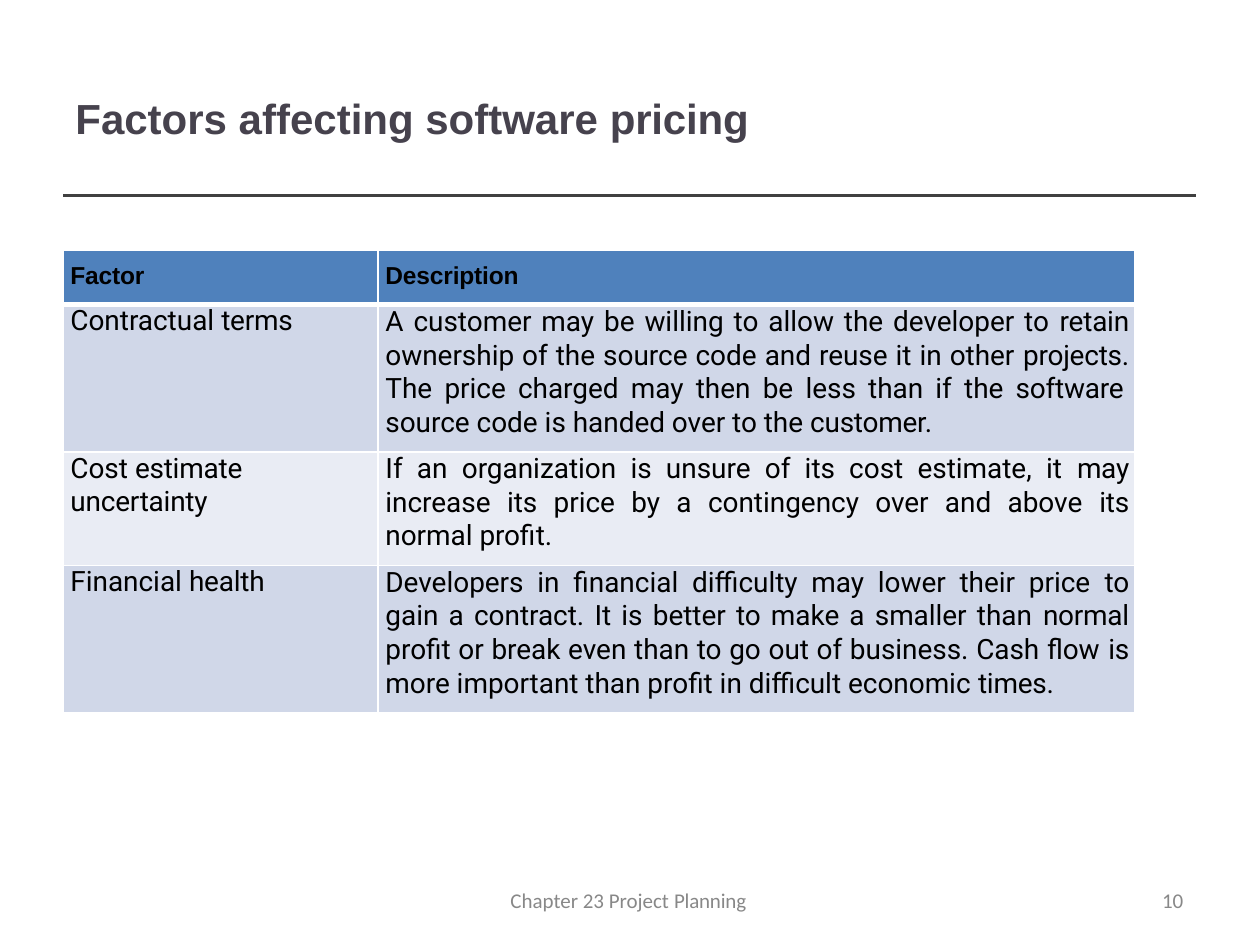
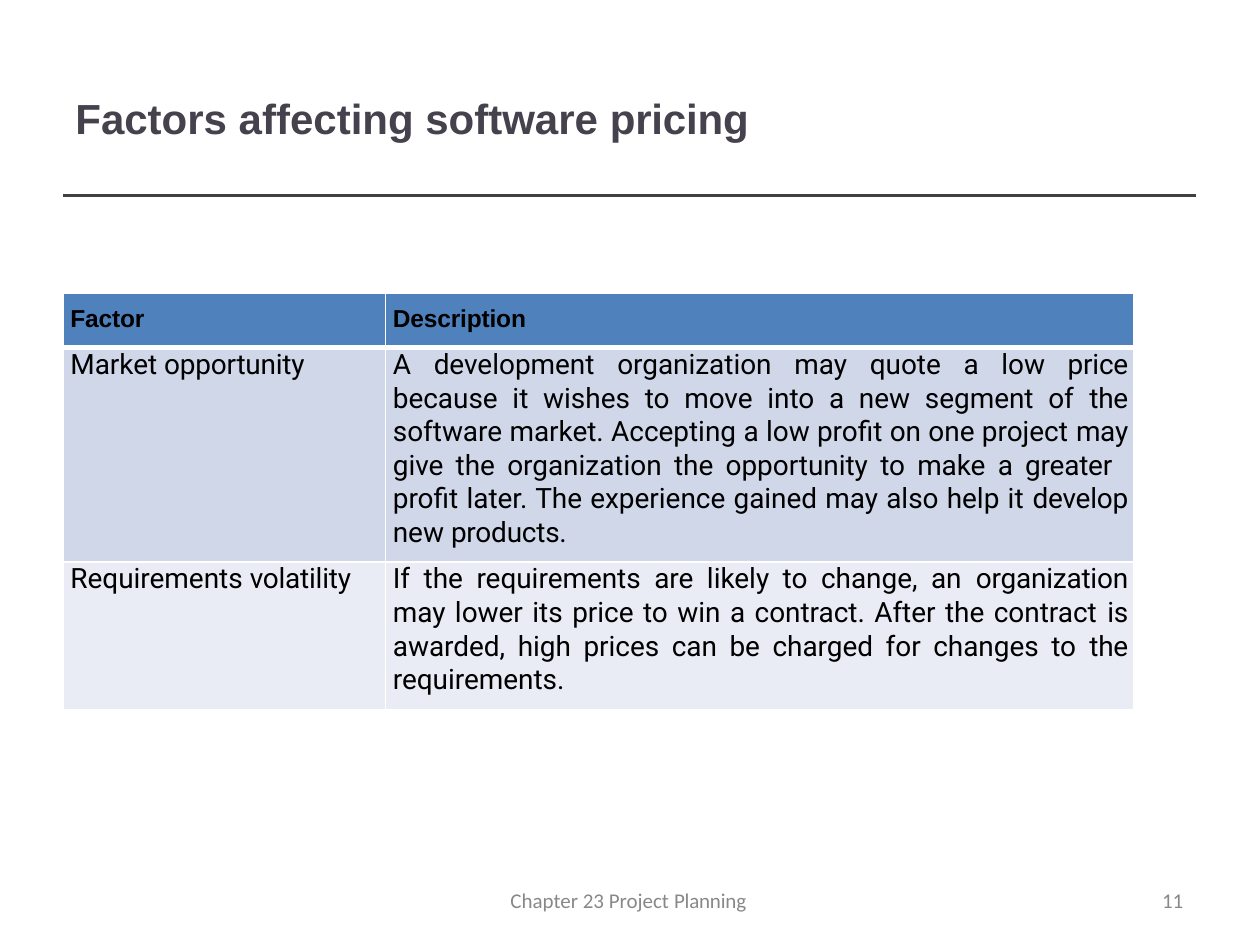
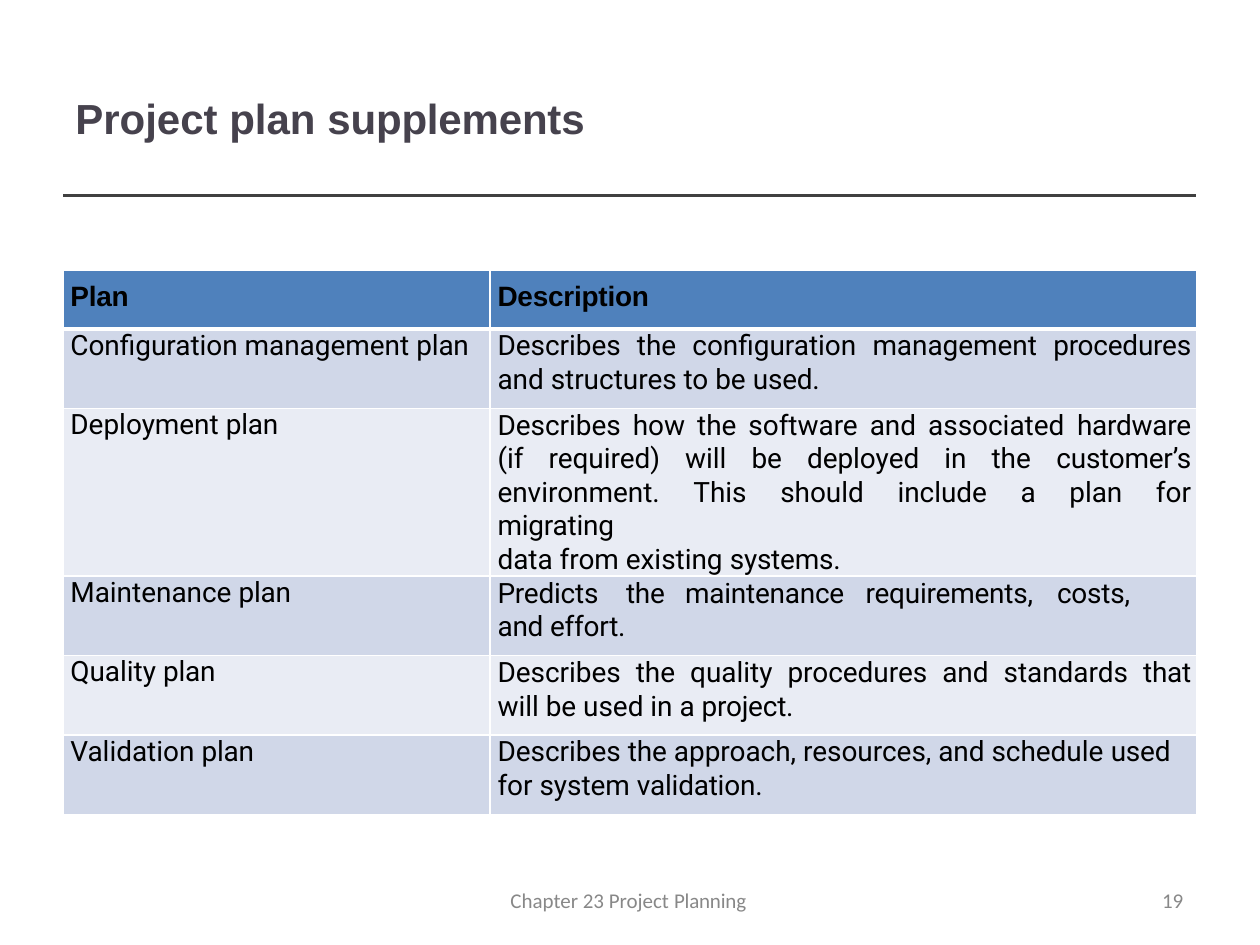
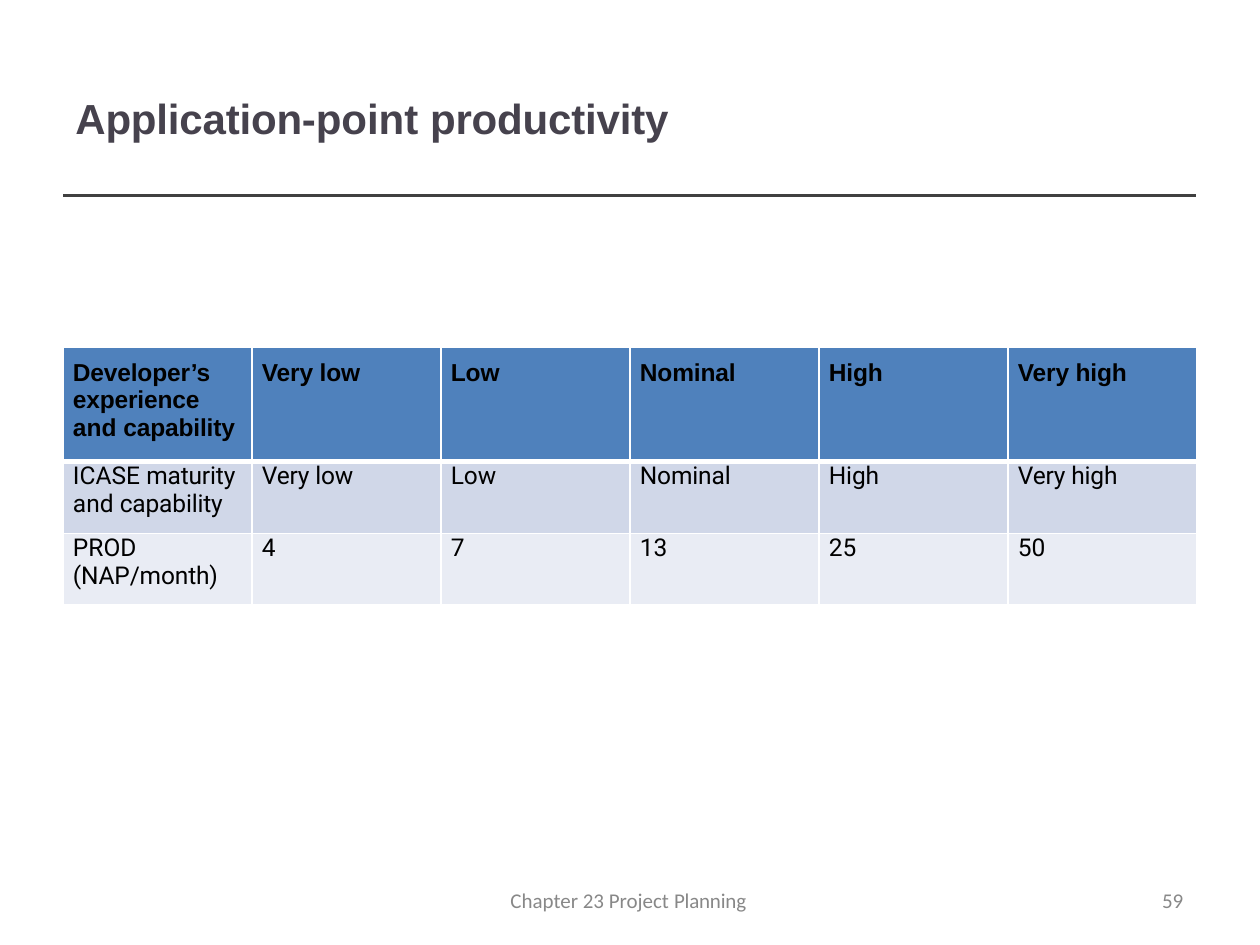
from lxml.etree import SubElement
from pptx import Presentation
from pptx.dml.color import RGBColor
from pptx.enum.shapes import MSO_CONNECTOR
from pptx.enum.text import MSO_ANCHOR, MSO_AUTO_SIZE, PP_ALIGN
from pptx.oxml import parse_xml
from pptx.oxml.ns import nsdecls, qn
from pptx.util import Cm, Pt

TITLE, RULE, FOOTER, TEXT = "46424D", "404040", "888888", "000000"
HEADER, BANDS, BORDER = "4F81BC", ("E9ECF4", "D0D7E8"), "FFFFFF"
TIGHT, WIDE = -10, 300
LEFT = 1.27

FACTOR_HEAD = ["|Factor", "|Description"]
CONTRACT_ROWS = [
    FACTOR_HEAD,
    ["Contractual |terms",
     "A customer may be willing to allow the developer to |retain |ownership of the source "
     "code and reuse it in other |projects. |The~price~charged~may~then~be~less~than~if~the~|software\n"
     "source code is handed over to the| customer."],
    ["Cost |estimate uncertainty",
     "If an organization is unsure of its cost estimate, it |may |increase its price by a "
     "contingency over and above |its |normal |profit."],
    ["Financial |health",
     "Developers in financial difficulty may lower their price |to |gain a contract. It is better "
     "to make a smaller than |normal |profit or break even than to go out of business. Cash flow "
     "|is |more important than profit in difficult economic |times."],
]
MARKET_ROWS = [
    FACTOR_HEAD,
    ["Market |opportunity",
     "A~development~organization~may~quote~a~low~|price |because it wishes to move into a new "
     "segment of |the |software market. Accepting a low profit on one project |may "
     "|give~the~organization~the~opportunity~to~make~a~|greater\n"
     "profit later. The experience gained may also help it |develop |new |products."],
    ["Requirements |volatility",
     "If the requirements are likely to change, an |organization |may lower its price to win a "
     "contract. After the contract |is |awarded, high prices can be charged for changes to |the "
     "|requirements."],
]
PLAN_ROWS = [
    ["|Plan", "|Description"],
    ["Configuration management |plan",
     "Describes~the~configuration~management~|procedures |and structures to be |used."],
    ["Deployment |plan",
     "Describes how the software and associated |hardware |(if required) will be deployed in the "
     "|customer’s |environment.~This~should~include~a~plan~for~|migrating\n"
     "data from existing |systems."],
    ["Maintenance |plan", "|Predicts\tthe\tmaintenance\trequirements,\tcosts,\tand effort."],
    ["Quality |plan",
     "Describes~the~quality~procedures~and~standards~|that |will be used in a| project."],
    ["Validation |plan",
     "Describes the approach, resources, and schedule |used\nfor system |validation."],
]
LEVELS = ["|Very low", "|Low", "|Nominal", "|High", "|Very high"]
PRODUCTIVITY_ROWS = [
    ["|Developer’s experience |and |capability"] + LEVELS,
    ["ICASE |maturity\nand |capability"] + LEVELS,
    ["PROD\n|(NAP/month)", "|4", "|7", "|13", "|25", "|50"],
]


def rgb(value):
    return RGBColor.from_string(value)


class Deck:
    """Holds the shared style and the current slide."""

    def __init__(self):
        self.prs = Presentation()
        self.prs.slide_width, self.prs.slide_height = Cm(25.4), Cm(19.05)

    def add_slide(self, title, number):
        self.s = self.prs.slides.add_slide(self.prs.slide_layouts[5])
        for end in (21.56, 24.1):
            self.line(LEFT, end, 3.94)
        self.title(title)
        self.text("Chapter 23 Project |Planning", 10.29, 17.96, 4.85)
        self.text(f"|{number}", 23.43, 17.96, 0.69)

    def runs(self, p, text, font, size, color, bold=False):
        for i, part in enumerate(text.split("|")):
            for j, words in enumerate(part.split("~")):
                if j:
                    self.run(p, " ", font, size, color, bold, WIDE)
                if words:
                    self.run(p, words, font, size, color, bold, TIGHT * (i % 2))

    def run(self, p, text, font, size, color, bold, spacing):
        r = p.add_run()
        r.text = text
        r.font.name, r.font.size, r.font.bold = font, Pt(size), bold
        r.font.color.rgb = rgb(color)
        if spacing:
            r.font._element.set("spc", str(spacing))

    def frame(self, tf, top=0):
        tf.word_wrap = True
        tf.auto_size = MSO_AUTO_SIZE.NONE
        tf.vertical_anchor = MSO_ANCHOR.TOP
        tf.margin_left = tf.margin_right = tf.margin_bottom = 0
        tf.margin_top = Cm(top)
        p = tf.paragraphs[0]
        p.alignment = PP_ALIGN.LEFT
        return p

    def title(self, text):
        sp = self.s.shapes.title
        sp.left, sp.top, sp.width, sp.height = Cm(1.52), Cm(1.17), Cm(19.35), Cm(2.24)
        p = self.frame(sp.text_frame, 0.7)
        self.runs(p, text, "Arial", 24, TITLE, True)

    def text(self, text, x, y, w):
        sp = self.s.shapes.add_textbox(Cm(x), Cm(y), Cm(w), Cm(0.51))
        p = self.frame(sp.text_frame)
        p.line_spacing = Pt(12.4)
        self.runs(p, text, "Calibri", 12, FOOTER)

    def line(self, x1, x2, y):
        sp = self.s.shapes.add_connector(MSO_CONNECTOR.STRAIGHT, Cm(x1), Cm(y), Cm(x2), Cm(y))
        sp.line.color.rgb = rgb(RULE)
        sp.line.width = Pt(2)
        SubElement(sp._element.spPr, qn("a:effectLst"))

    def borders(self, cell, top, bottom):
        tcPr = cell._tc.get_or_add_tcPr()
        for i, (side, width) in enumerate((("L", 1), ("R", 1), ("T", top), ("B", bottom))):
            tcPr.insert(i, parse_xml(
                f'<a:ln{side} {nsdecls("a")} w="{Pt(width)}"><a:solidFill>'
                f'<a:srgbClr val="{BORDER}"/></a:solidFill></a:ln{side}>'))

    def tabs(self, p, stops):
        tab_list = SubElement(p._p.get_or_add_pPr(), qn("a:tabLst"))
        for stop in stops:
            SubElement(tab_list, qn("a:tab"), pos=str(Cm(stop)), algn="l")

    def cell(self, cell, text, row, size, inset, justify, stops):
        cell.fill.solid()
        cell.fill.fore_color.rgb = rgb(BANDS[row % 2] if row else HEADER)
        self.borders(cell, 3 if row == 1 else 1, 1 if row else 3)
        cell.vertical_anchor = MSO_ANCHOR.TOP
        cell.margin_left, cell.margin_right = Cm(inset), Cm(0.12)
        cell.margin_top, cell.margin_bottom = Cm(0 if row else 0.23), 0
        for i, line in enumerate(text.split("\n")):
            p = cell.text_frame.add_paragraph() if i else cell.text_frame.paragraphs[0]
            if "\t" in line:
                self.tabs(p, stops)
            p.alignment = PP_ALIGN.JUSTIFY if justify and "\t" not in line else PP_ALIGN.LEFT
            if row:
                p.line_spacing = Pt(round(size * (1.2 if justify else 1.18), 1))
            self.runs(p, line, "Roboto" if row else "Arial", size, TEXT, not row)

    def table(self, rows, y, widths, heights, head_size=14, size=16, inset=0.15, stops=()):
        tbl = self.s.shapes.add_table(len(rows), len(widths), Cm(LEFT), Cm(y),
                                      Cm(sum(widths)), Cm(sum(heights))).table
        for column, width in zip(tbl.columns, widths):
            column.width = Cm(width)
        for i, (row, height) in enumerate(zip(rows, heights)):
            tbl.rows[i].height = Cm(height)
            for j, text in enumerate(row):
                justify = i > 0 and j == 1 and len(widths) == 2
                self.cell(tbl.cell(i, j), text, i, size if i else head_size, inset, justify, stops)


def main():
    deck = Deck()
    deck.add_slide("Factors affecting software |pricing", 10)
    deck.table(CONTRACT_ROWS, 5.05, [6.35, 15.26], [1.09, 2.97, 2.29, 2.97])
    deck.add_slide("Factors affecting software |pricing", 11)
    deck.table(MARKET_ROWS, 5.92, [6.5, 15.09], [1.09, 4.32, 2.97])
    deck.add_slide("Project plan |supplements", 19)
    deck.table(PLAN_ROWS, 5.44, [8.61, 14.25], [1.19, 1.6, 2.97, 1.6, 1.6, 1.6],
               head_size=16, stops=(2.59, 3.78, 7.42, 11.28, 13.16))
    deck.add_slide("|Application-|point |productivity", 59)
    deck.table(PRODUCTIVITY_ROWS, 7.01, [3.81] * 6, [2.29, 1.45, 1.45], size=14, inset=0.2)
    deck.prs.save("out.pptx")


if __name__ == "__main__":
    main()
